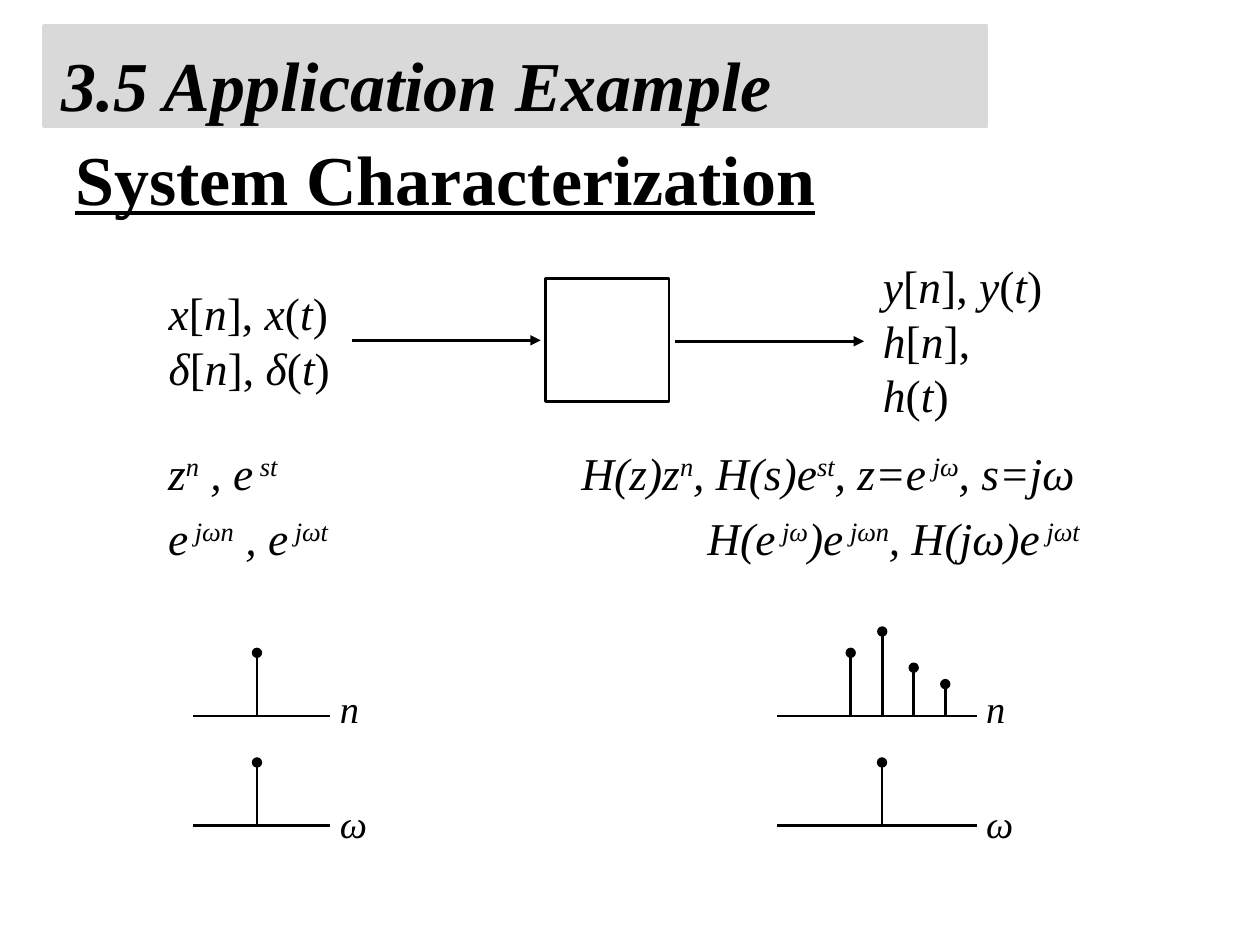
from itertools import groupby

from lxml.etree import SubElement
from pptx import Presentation
from pptx.dml.color import RGBColor
from pptx.enum.shapes import MSO_CONNECTOR as Connector, MSO_SHAPE as Shape
from pptx.enum.text import MSO_ANCHOR as Anchor, MSO_AUTO_SIZE as AutoSize
from pptx.oxml.ns import qn
from pptx.util import Cm, Pt

BLACK = "000000"
GRAY = "D9D9D9"
WHITE = "FFFFFF"

presentation = Presentation()
presentation.slide_width, presentation.slide_height = Cm(25.4), Cm(19.05)
slide = presentation.slides.add_slide(presentation.slide_layouts[6])


def add_text(box, paragraphs, size, bold=False, underline=False, grow=True,
             anchor=Anchor.MIDDLE, margin_left=0.25, margin_right=0.25,
             line_spacing=None, space_before=0, tab=None):
    """Each paragraph is a list of (text, italic, superscript) runs."""
    frame = slide.shapes.add_textbox(*map(Cm, box)).text_frame
    frame.word_wrap = True
    frame.auto_size = AutoSize.SHAPE_TO_FIT_TEXT if grow else AutoSize.NONE
    frame.vertical_anchor = anchor
    frame.margin_left, frame.margin_right = Cm(margin_left), Cm(margin_right)
    for index, runs in enumerate(paragraphs):
        paragraph = frame.add_paragraph() if index else frame.paragraphs[0]
        paragraph.space_before = Pt(space_before)
        if line_spacing:
            paragraph.line_spacing = line_spacing
        if tab:
            tabs = SubElement(paragraph._p.get_or_add_pPr(), qn("a:tabLst"))
            SubElement(tabs, qn("a:tab"), pos=str(Cm(tab)), algn="l")
        for text, italic, superscript in runs:
            run = paragraph.add_run()
            run.text = text
            font = run.font
            font.name, font.size = "Times New Roman", Pt(size)
            font.bold, font.italic, font.underline = bold, italic, underline
            font.color.rgb = RGBColor.from_string(BLACK)
            if superscript:
                run._r.get_or_add_rPr().set("baseline", "30000")


def add_line(x1, y1, x2, y2, end=None, kind=None):
    """End is headEnd (start of the line) or tailEnd (finish of the line)."""
    connector = slide.shapes.add_connector(
        Connector.STRAIGHT, Cm(x1), Cm(y1), Cm(x2), Cm(y2))
    connector.line.width = Pt(1.5)
    connector.line.color.rgb = RGBColor.from_string(BLACK)
    properties = connector._element.spPr
    if end:
        SubElement(properties.find(qn("a:ln")), qn(f"a:{end}"), type=kind)
    SubElement(properties, qn("a:effectLst"))


# Title band and system block
for box, fill, outline, width in [
    ((0.89, 0.53, 19, 2.01), GRAY, GRAY, 2),
    ((11, 5.61, 2.49, 2.49), WHITE, BLACK, 1.5),
]:
    shape = slide.shapes.add_shape(Shape.RECTANGLE, *map(Cm, box))
    shape.shadow.inherit = False
    shape.fill.solid()
    shape.fill.fore_color.rgb = RGBColor.from_string(fill)
    shape.line.color.rgb = RGBColor.from_string(outline)
    shape.line.width = Pt(width)

# Headings
add_text((0, 0, 25.4, 2.51), [[("3.5 Application Example", True, False)]], 40,
         bold=True, margin_left=1.24, margin_right=0.51, line_spacing=1.5)
add_text((0, 2.59, 25.4, 1.96), [[("System Characterization", False, False)]], 40,
         bold=True, underline=True, margin_left=1.52, margin_right=0.51)

# Input and output signals: letters are italic, brackets upright
for left, width, signals in [
    (3.15, 3.81, ["x[n], x(t)", "δ[n], δ(t)"]),
    (17.55, 3.73, ["y[n], y(t)", "h[n], h(t)"]),
]:
    add_text((left, 5.61, width, 2.49),
             [[("".join(letters), is_letter, False)
               for is_letter, letters in groupby(signal, str.isalpha)]
              for signal in signals], 26)
for left, y in [(7.09, 6.86), (13.61, 6.88)]:
    add_line(left, y, left + 3.81, y, "tailEnd", "triangle")

# Eigenfunctions: every second part between carets is a superscript
for top, tab, equation in [
    (8.84, 8.33, "z^n^ , e^ st^\tH(z)z^n^, H(s)e^st^, z=e^ jω^, s=jω"),
    (10.16, 10.87, "e^ jωn^ , e^ jωt^\tH(e^ jω^)e^ jωn^, H(jω)e^ jωt"),
]:
    add_text((0, top, 25.4, 1.35),
             [[(part, True, index % 2 == 1)
               for index, part in enumerate(equation.split("^"))]], 26,
             anchor=Anchor.TOP, margin_left=3.39, space_before=6, tab=tab)

# Stem plots: axis ends, label box, stems as (x, height)
LEFT_PLOT = (3.9, 6.65, 6.6, 1.07)
RIGHT_PLOT = (15.67, 19.69, 19.63, 1.27)
TIME_AXIS, FREQUENCY_AXIS = ("n", 14.43, 13.69), ("ω", 16.64, 16)
response = [(17.15 + 0.635 * index, height)
            for index, height in enumerate([1.27, 1.7, 0.97, 0.64])]
for plot, axis, stems in [
    (LEFT_PLOT, TIME_AXIS, [(5.18, 1.27)]),
    (LEFT_PLOT, FREQUENCY_AXIS, [(5.18, 1.27)]),
    (RIGHT_PLOT, TIME_AXIS, response),
    (RIGHT_PLOT, FREQUENCY_AXIS, [(17.78, 1.27)]),
]:
    start, finish, label_left, label_width = plot
    label, y, label_top = axis
    add_line(start, y, finish, y)
    for x, height in stems:
        add_line(x, y - height, x, y, "headEnd", "oval")
    add_text((label_left, label_top, label_width, 1.47), [[(label, True, False)]],
             22, grow=False, anchor=Anchor.TOP)

presentation.save("out.pptx")
